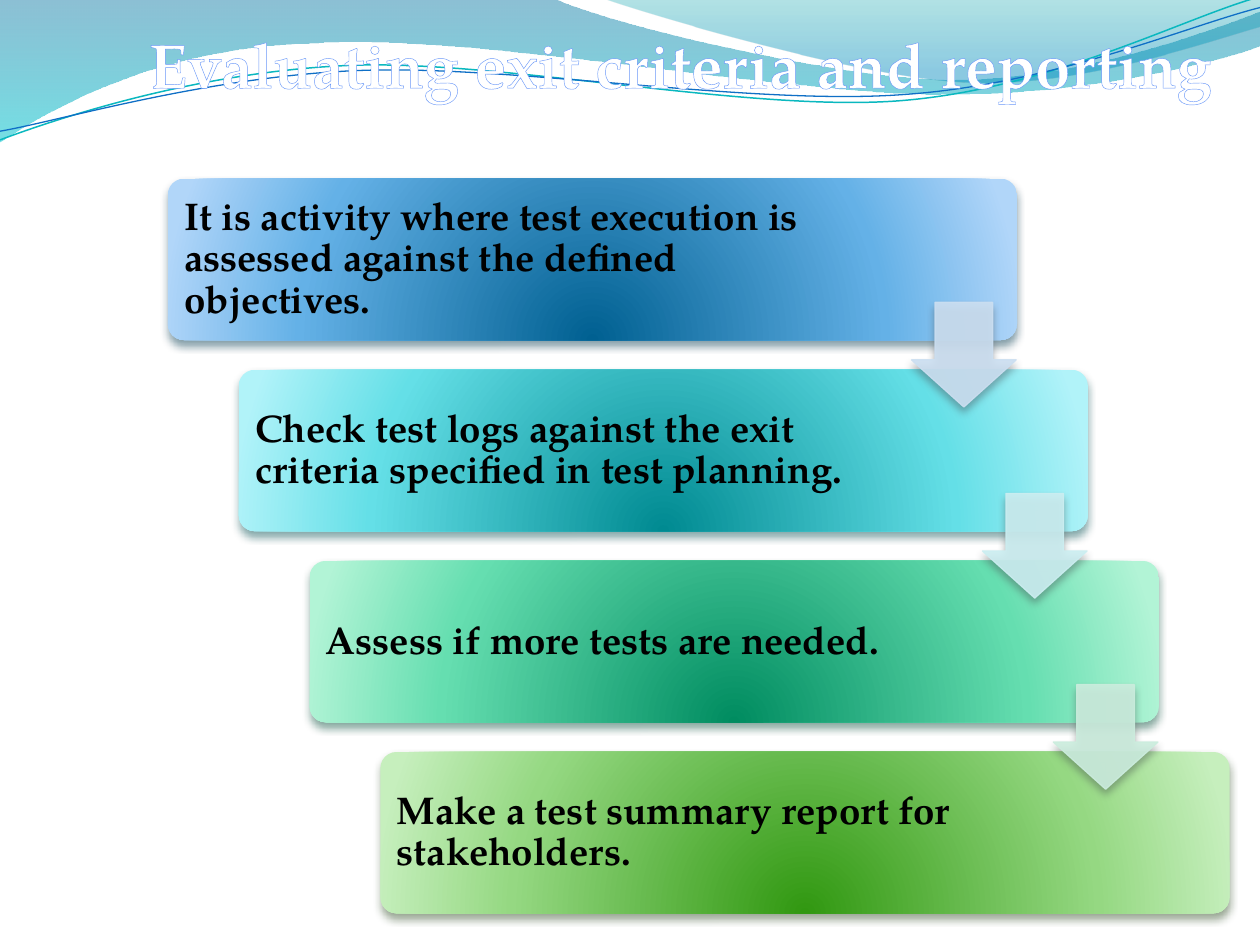
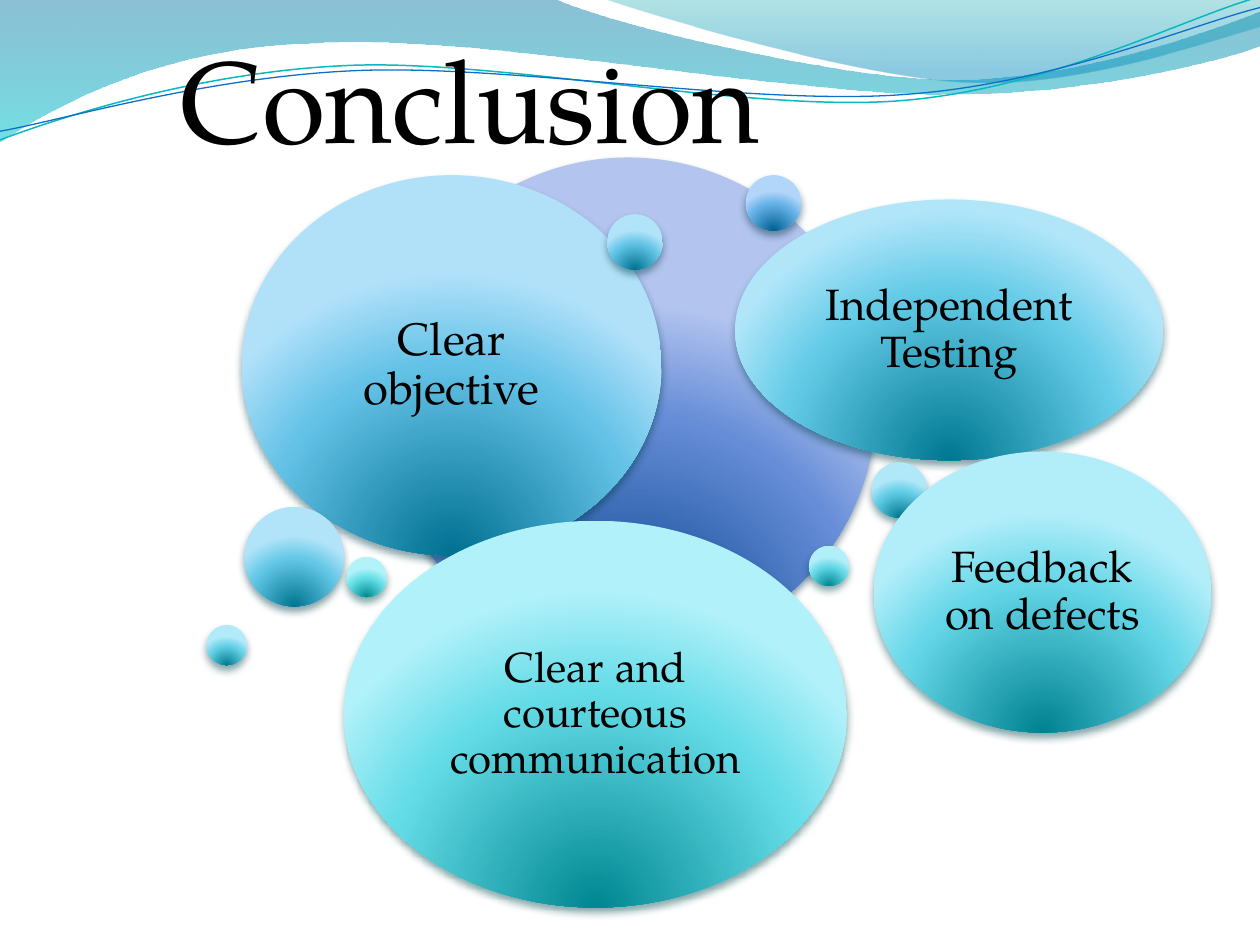
from dataclasses import dataclass

from lxml.etree import SubElement
from pptx import Presentation
from pptx.dml.color import RGBColor
from pptx.enum.shapes import MSO_SHAPE
from pptx.enum.text import MSO_ANCHOR, MSO_AUTO_SIZE, PP_ALIGN
from pptx.oxml import parse_xml
from pptx.oxml.ns import nsdecls, qn
from pptx.util import Pt


@dataclass(frozen=True)
class Tone:
    """Radial gradient from dark to pale, with the colour of its shadow."""
    dark: str
    mid: str
    pale: str
    shadow: str


@dataclass(frozen=True)
class Theme:
    font: str = "TeX Gyre Pagella"
    ink: str = "000000"
    white: str = "FFFFFF"
    title_outline: str = "6A98F8"
    long_title_size: int = 36
    short_title_size: int = 66
    step_size: int = 22
    indigo: Tone = Tone("003D87", "668DD7", "B3C4EF", "042747")
    blue: Tone = Tone("006091", "64B1E7", "B1D6F9", "00374C")
    cyan: Tone = Tone("008A91", "64DFE7", "B1F3F9", "024B4E")
    mint: Tone = Tone("008C60", "65DEB0", "B2F4D6", "044A37")
    green: Tone = Tone("319811", "95D882", "C6EFBD", "2B4821")


THEME = Theme()
WIDTH, HEIGHT = 720, 540

# Each outline is a start point, then lines (x, y) and curves (x1, y1, x2, y2, x, y).
LEFT_WAVE = [
    (0, 0), (316.8, -0.7),
    (342.7, 12.2, 478.1, 45.4, 545.8, 45.4),
    (614.2, 45.4, 689.8, 18.7, 720, 6.5),
    (720.7, 25.9),
    (707.8, 31.7, 626.4, 54.7, 537.1, 54),
    (447.8, 54, 275, 20.2, 185, 24.5),
    (92.9, 25.9, 33.1, 59.8, -0.7, 81.4),
]
RIGHT_WAVE = [
    (344.9, -0.7),
    (366.5, 7.2, 491, 44.6, 553.7, 46.8),
    (616.3, 49.7, 691.9, 23, 720, 15.1),
    (720, 0),
]
TEAL_THREAD = [
    (-1.4, 63),
    (33.8, 51.7, 114.1, 29.4, 199.8, 29.9),
    (284.9, 30.3, 425.8, 67.3, 512.4, 64.9),
    (599, 62.4, 676.4, 25.7, 720.2, 15.5),
]
BLUE_THREAD = [
    (-1.1, 58),
    (32.9, 53.8, 118.3, 32.5, 204.1, 33),
    (290.6, 33.4, 428.9, 63.8, 515.5, 61.4),
    (601.4, 59.6, 678.4, 30.1, 721.4, 21.3),
]
THREAD_TURN = 357.3

STEPS = [
    ("It is activity where test execution is assessed against the defined objectives.", THEME.blue),
    ("Check test logs against the exit criteria specified in test planning.", THEME.cyan),
    ("Assess if more tests are needed.", THEME.mint),
    ("Make a test summary report for stakeholders.", THEME.green),
]
ARROWS = [("CCDFF1", "474E55"), ("CCEEF1", "475455"), ("CCEDDE", "47544E")]

# Left, top, width, height, label and type size; shaded in order from blue to cyan.
SMALL, MEDIUM = 23, 31.7
BUBBLES = [
    (308.1, 10.1, MEDIUM, MEDIUM, "", 0),
    (186.5, 262.1, SMALL, SMALL, "", 0),
    (400.3, 114.5, SMALL, SMALL, "", 0),
    (291.6, 285.8, MEDIUM, MEDIUM, "", 0),
    (192.9, 31.7, SMALL, SMALL, "", 0),
    (120.9, 162, SMALL, SMALL, "", 0),
    (20.1, 10.1, 239.8, 217.4, "Clear objective", 26),
    (228.9, 32.4, MEDIUM, MEDIUM, "", 0),
    (21.6, 199.6, 56.9, 56.9, "", 0),
    (301.9, 24, 244.8, 149, "Independent Testing", 25),
    (380.1, 174.2, MEDIUM, MEDIUM, "", 0),
    (0, 267.1, SMALL, SMALL, "", 0),
    (227.5, 234.7, SMALL, SMALL, "", 0),
    (381.1, 168, 193, 160.6, "Feedback on defects", 25),
    (344.1, 221.8, SMALL, SMALL, "", 0),
    (78.5, 207.6, 287.3, 221, "Clear and courteous communication", 24),
    (79.9, 228.2, SMALL, SMALL, "", 0),
]


def blend(first, last, share):
    """Return the tone that lies at a share of the way between two tones."""
    def mix(start, end):
        pairs = ((int(start[i:i + 2], 16), int(end[i:i + 2], 16)) for i in (0, 2, 4))
        return "".join(f"{round(a + (b - a) * share):02X}" for a, b in pairs)
    return Tone(mix(first.dark, last.dark), mix(first.mid, last.mid),
                mix(first.pale, last.pale), mix(first.shadow, last.shadow))


def fill_gradient(shape, stops, direction):
    """Fill with stops of (position, colour, opacity), all in percent."""
    marks = "".join(
        f'<a:gs pos="{position * 1000}"><a:srgbClr val="{colour}">'
        f'<a:alpha val="{opacity * 1000}"/></a:srgbClr></a:gs>'
        for position, colour, opacity in stops)
    shape.element.spPr.insert(2, parse_xml(
        f'<a:gradFill {nsdecls("a")} rotWithShape="1"><a:gsLst>{marks}</a:gsLst>{direction}</a:gradFill>'))
    shape.line.fill.background()


def fill_tone(shape, tone):
    fill_gradient(
        shape, [(0, tone.dark, 100), (68, tone.mid, 100), (100, tone.pale, 100)],
        '<a:path path="circle"><a:fillToRect l="50000" t="130000" r="50000" b="-30000"/></a:path>')
    cast_shadow(shape, tone.shadow)


def cast_shadow(shape, colour):
    shape.shadow.inherit = False
    shape.element.spPr.find(qn("a:effectLst")).append(parse_xml(
        f'<a:outerShdw {nsdecls("a")} blurRad="{Pt(4.5)}" dist="{Pt(3)}" dir="5400000" rotWithShape="0">'
        f'<a:srgbClr val="{colour}"><a:alpha val="48000"/></a:srgbClr></a:outerShdw>'))


def add_preset(page, kind, box):
    return page.shapes.add_shape(kind, *(Pt(length) for length in box))


def format_text(shape, text, size, colour=THEME.ink, bold=False, align=PP_ALIGN.LEFT):
    frame = shape.text_frame
    frame.text = text
    frame.word_wrap = True
    para = frame.paragraphs[0]
    para.alignment = align
    span = para.runs[0]
    span.font.name, span.font.size, span.font.bold = THEME.font, Pt(size), bold
    span.font.color.rgb = RGBColor.from_string(colour)
    return para


def set_label(shape, text, size, insets, **style):
    para = format_text(shape, text, size, **style)
    para.line_spacing = 0.9
    frame = shape.text_frame
    frame.vertical_anchor = MSO_ANCHOR.MIDDLE
    frame.margin_left, frame.margin_top, frame.margin_right, frame.margin_bottom = map(Pt, insets)


def set_title(page, text, box, size, **style):
    title = page.shapes.title
    title.left, title.top, title.width, title.height = (Pt(length) for length in box)
    format_text(title, text, size, **style)
    title.text_frame.vertical_anchor = MSO_ANCHOR.TOP
    title.text_frame.auto_size = MSO_AUTO_SIZE.NONE
    return title


def add_outline(page, outline, close):
    """Build a freeform through all points, then join each curve's three points into a Bézier."""
    points = [(Pt(part[i]), Pt(part[i + 1])) for part in outline for i in range(0, len(part), 2)]
    builder = page.shapes.build_freeform(*points[0], scale=1.0)
    builder.add_line_segments(points[1:], close=close)
    shape = builder.convert_to_shape()
    shape.shadow.inherit = False
    segments = iter(shape.element.xpath(".//a:lnTo"))
    for part in outline[1:]:
        ends = [next(segments) for _ in range(len(part) // 2)]
        if len(ends) == 3:
            curve = parse_xml(f'<a:cubicBezTo {nsdecls("a")}/>')
            ends[0].addprevious(curve)
            for end in ends:
                curve.append(end[0])
                end.getparent().remove(end)
    return shape


def add_wave_header(deck, page):
    """Draw the waves on a page, then move them to the master behind its placeholders."""
    downward = '<a:lin ang="5400000" scaled="0"/>'
    parts = []
    for outline, stops in (
        (LEFT_WAVE, [(0, "0074A1", 45), (100, "00C6CF", 55)]),
        (RIGHT_WAVE, [(0, "00A1A9", 30), (80, "008BBF", 45)]),
    ):
        wave = add_outline(page, outline, close=True)
        fill_gradient(wave, stops, downward)
        parts.append(wave)
    for outline, colour, width in ((TEAL_THREAD, "0AB8BF", 0.85), (BLUE_THREAD, "0F6FC6", 0.75)):
        thread = add_outline(page, outline, close=False)
        thread.rotation = THREAD_TURN
        thread.fill.background()
        thread.line.color.rgb = RGBColor.from_string(colour)
        thread.line.width = Pt(width)
        parts.append(thread)
    master_tree = deck.slide_master.shapes.element
    for index, part in enumerate(parts):
        part.element.xpath("p:nvSpPr/p:cNvPr")[0].set("id", str(20 + index))
        master_tree.insert(2 + index, part.element)


def add_staircase(page, left, top):
    width, height = 485.3, 92.2
    corners = [(left + 40.5 * i, top + 109.2 * i) for i in range(len(STEPS))]
    for (x, y), (text, tone) in zip(corners, STEPS):
        step = add_preset(page, MSO_SHAPE.ROUNDED_RECTANGLE, (x, y, width, height))
        step.adjustments[0] = 0.1
        fill_tone(step, tone)
        set_label(step, text, THEME.step_size, (6.7, 6.5, 109, 6.5), bold=True)
    for (x, y), (colour, shadow) in zip(corners, ARROWS):
        arrow = add_preset(page, MSO_SHAPE.DOWN_ARROW, (x + 425, y + 70.7, 59.8, 59.8))
        arrow.adjustments[0], arrow.adjustments[1] = 0.55, 0.45
        arrow.fill.solid()
        arrow.fill.fore_color.rgb = arrow.line.color.rgb = RGBColor.from_string(colour)
        arrow.line.width = Pt(0.75)
        for paint in arrow.element.spPr.xpath(".//a:srgbClr"):
            SubElement(paint, qn("a:alpha"), val="90000")
        cast_shadow(arrow, shadow)


def add_bubbles(page, left, top):
    core = add_preset(page, MSO_SHAPE.OVAL, (left + 99.4, top, 283, 283))
    fill_tone(core, THEME.indigo)
    for index, (x, y, width, height, label, size) in enumerate(BUBBLES):
        bubble = add_preset(page, MSO_SHAPE.OVAL, (left + x, top + y, width, height))
        fill_tone(bubble, blend(THEME.blue, THEME.cyan, index / (len(BUBBLES) - 1)))
        if label:
            set_label(bubble, label, size, [7.5] * 4, align=PP_ALIGN.CENTER)


def build_exit_criteria(page):
    title = set_title(page, "Evaluating exit criteria and reporting", (77.8, 10.8, 642.2, 51.1),
                      THEME.long_title_size, colour=THEME.white, bold=True)
    title.element.xpath(".//a:r/a:rPr")[0].insert(0, parse_xml(
        f'<a:ln {nsdecls("a")} w="{Pt(2.48)}"><a:solidFill>'
        f'<a:srgbClr val="{THEME.title_outline}"/></a:solidFill></a:ln>'))
    add_staircase(page, 95.9, 102.1)


def build_conclusion(page):
    set_title(page, "Conclusion", (95.8, 12.2, 594, 87.1), THEME.short_title_size)
    add_bubbles(page, 118.1, 90)


def main():
    deck = Presentation()
    deck.slide_width, deck.slide_height = Pt(WIDTH), Pt(HEIGHT)
    title_only = deck.slide_layouts[5]
    pages = [deck.slides.add_slide(title_only) for _ in range(2)]
    add_wave_header(deck, pages[0])
    build_exit_criteria(pages[0])
    build_conclusion(pages[1])
    deck.save("out.pptx")


if __name__ == "__main__":
    main()
